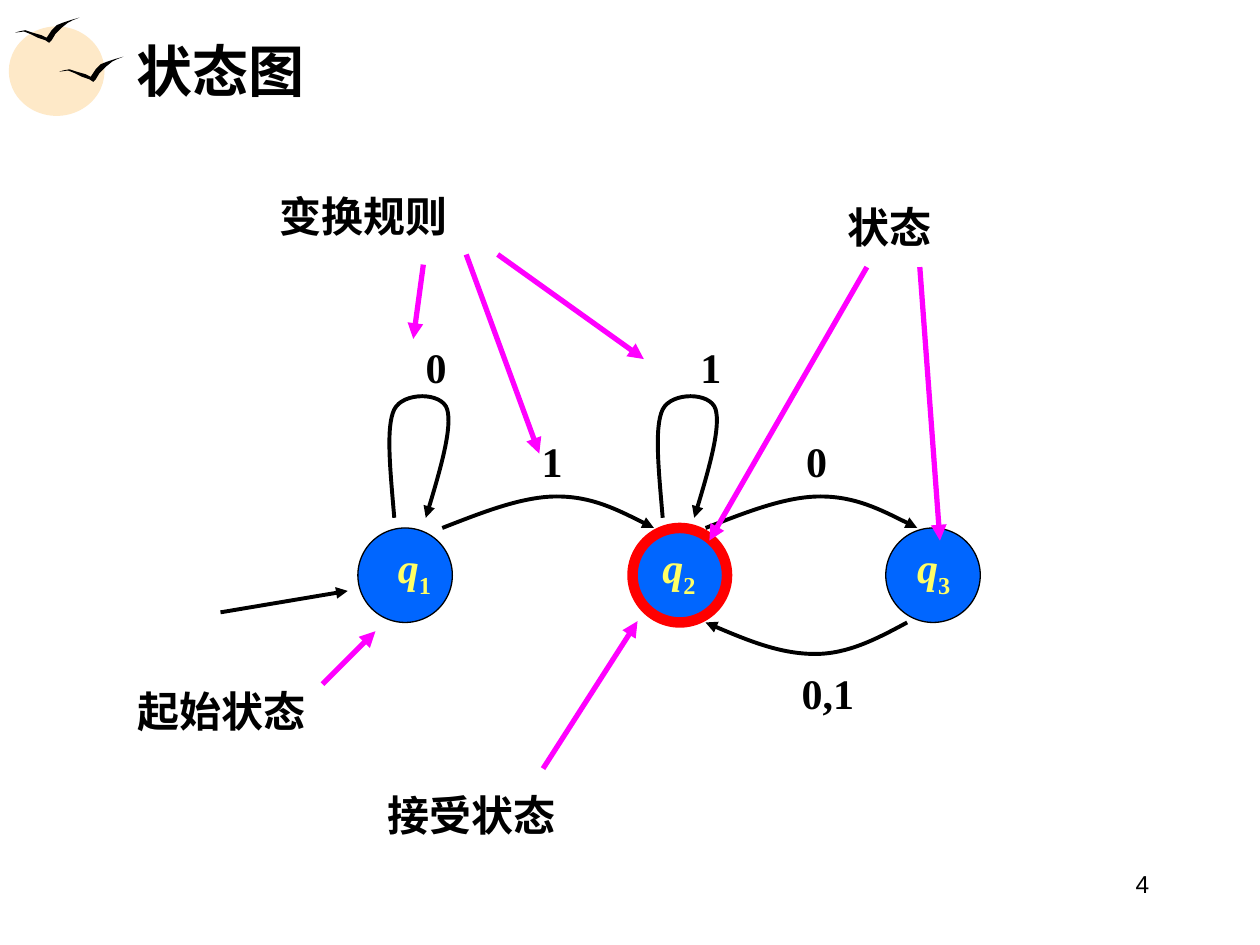
from lxml.etree import SubElement
from pptx import Presentation
from pptx.dml.color import RGBColor
from pptx.enum.shapes import MSO_CONNECTOR, MSO_SHAPE
from pptx.enum.text import MSO_ANCHOR, MSO_AUTO_SIZE, PP_ALIGN
from pptx.oxml.ns import qn
from pptx.util import Inches, Pt

BLACK, MAGENTA, SAND = "000000", "FF00FF", "FEE9C8"
BIRD = [(0, .12), (.03, .11), (.08, .10), (.14, .12), (.21, .14), (.25, .16),
        (.29, .10), (.33, .06), (.38, .04), (.44, .02), (.51, 0), (.46, .02),
        (.42, .04), (.37, .08), (.32, .13), (.29, .18), (.27, .20), (.24, .18),
        (.18, .16), (.12, .13), (.07, .11)]
ARC = [(0, .25), (.31, .13), (.63, 0), (.91, 0), (1.19, 0), (1.44, .13), (1.68, .25)]
LOOP = [(.07, 1), (.04, .64), (0, .28), (.07, .14), (.14, 0), (.45, 0), (.49, .14),
        (.53, .28), (.43, .64), (.32, 1)]
RETURN_ARC = [(1.6, 0), (1.36, .13), (1.13, .25), (.87, .25), (.6, .25), (.3, .13), (0, 0)]


def rgb(color):
    """Turn a hex string into a colour."""
    return RGBColor.from_string(color)


def style_line(line, color, width, arrow=False):
    """Set colour and width of a line, with an arrowhead at its end if asked."""
    line.color.rgb = rgb(color)
    line.width = Pt(width)
    if arrow:
        SubElement(line._get_or_add_ln(), qn("a:tailEnd"), type="triangle")


def style_font(font, size, color=BLACK, name="Times New Roman", bold=True):
    """Set the common font properties."""
    font.size, font.name, font.bold = Pt(size), name, bold
    font.color.rgb = rgb(color)


def add_text(s, text, x, y, w, h=0.5, align=PP_ALIGN.LEFT, fit=True):
    """Add a text box, unwrapped if it fits its text, and return its paragraph."""
    tf = s.shapes.add_textbox(Inches(x), Inches(y), Inches(w), Inches(h)).text_frame
    tf.word_wrap = not fit
    tf.auto_size = MSO_AUTO_SIZE.SHAPE_TO_FIT_TEXT if fit else MSO_AUTO_SIZE.NONE
    p = tf.paragraphs[0]
    p.text, p.alignment = text, align
    style_font(p.font, 24)
    return p


def add_ellipse(s, x, y, w, h, fill):
    """Add a filled ellipse without an outline."""
    sp = s.shapes.add_shape(MSO_SHAPE.OVAL, Inches(x), Inches(y), Inches(w), Inches(h))
    sp.shadow.inherit = False
    sp.fill.solid()
    sp.fill.fore_color.rgb = rgb(fill)
    sp.line.fill.background()
    return sp


def add_outline(s, points, x, y, close):
    """Add a freeform through points given relative to x, y."""
    placed = [(Inches(x + dx), Inches(y + dy)) for dx, dy in points]
    builder = s.shapes.build_freeform(*placed[0])
    builder.add_line_segments(placed[1:], close=close)
    sp = builder.convert_to_shape()
    sp.shadow.inherit = False
    return sp


def add_curve(s, points, x, y):
    """Add a Bezier arrow whose points are anchors and control points."""
    sp = add_outline(s, points, x, y, False)
    segments = list(sp._element.iter(qn("a:lnTo")))
    for i in range(0, len(segments), 3):
        trio = segments[i:i + 3]
        bezier = trio[0].makeelement(qn("a:cubicBezTo"))
        trio[0].addprevious(bezier)
        for segment in trio:
            bezier.append(segment[0])
            segment.getparent().remove(segment)
    sp.fill.background()
    style_line(sp.line, BLACK, 2.25, arrow=True)


def add_arrow(s, start, end, color=MAGENTA, width=3):
    """Add a straight arrow between two points."""
    ends = [Inches(v) for v in (*start, *end)]
    c = s.shapes.add_connector(MSO_CONNECTOR.STRAIGHT, *ends)
    style_line(c.line, color, width, arrow=True)
    SubElement(c._element.spPr, qn("a:effectLst"))


def add_emblem(s, x, y):
    """Draw the sun with two birds."""
    add_ellipse(s, x, y + .07, .76, .71, SAND)
    for dx, dy in [(.4, .31), (.05, 0)]:
        sp = add_outline(s, BIRD, x + dx, y + dy, True)
        sp.fill.solid()
        sp.fill.fore_color.rgb = rgb(BLACK)
        sp.line.fill.background()


def add_title(s, text, x, y, w, h):
    """Place and format the title."""
    title = s.shapes.title
    title.left, title.top, title.width, title.height = map(Inches, (x, y, w, h))
    tf = title.text_frame
    tf.auto_size, tf.vertical_anchor = MSO_AUTO_SIZE.NONE, MSO_ANCHOR.MIDDLE
    p = tf.paragraphs[0]
    p.text, p.alignment = text, PP_ALIGN.LEFT
    style_font(p.font, 32)


def add_state(s, index, x, y, label_x, accepting=False):
    """Draw a state circle with its subscripted name."""
    sp = add_ellipse(s, x, y, .75, .75, "0066FF")
    style_line(sp.line, *(("FF0000", 6) if accepting else (BLACK, .75)))
    p = add_text(s, "q", label_x, y + .06, .46, .56, PP_ALIGN.CENTER)
    style_font(p.font, 24, "FFFF66")
    p.runs[0].font.italic = True
    r = p.add_run()
    r.text = str(index)
    r._r.get_or_add_rPr().set("baseline", "-25000")


def add_transition(s, points, x, y, label, label_x, label_y, label_w=.36):
    """Draw a curved transition and its label."""
    add_curve(s, points, x, y)
    add_text(s, label, label_x, label_y, label_w, align=PP_ALIGN.CENTER)


def add_diagram(s, x, y):
    """Draw the state machine from its top left corner."""
    top = y + 1.53
    add_state(s, 1, x + 1.09, top, x + 1.31)
    add_state(s, 2, x + 3.27, top, x + 3.41, accepting=True)
    add_state(s, 3, x + 5.28, top, x + 5.43)
    add_transition(s, ARC, x + 1.76, y + 1.28, "1", x + 2.45, y + .75)
    add_transition(s, ARC, x + 3.85, y + 1.28, "0", x + 4.55, y + .75)
    add_transition(s, RETURN_ARC, x + 3.85, y + 2.28, "0,1", x + 4.5, y + 2.59, .64)
    add_transition(s, LOOP, x + 1.31, y + .45, "0", x + 1.53, y)
    add_transition(s, LOOP, x + 3.44, y + .45, "1", x + 3.71, y)
    add_arrow(s, (x, y + 2.2), (x + 1.01, y + 2.03), BLACK, 2.25)


def add_callout(s, text, x, y, w, arrows):
    """Add a caption and the arrows, relative to its corner, that lead from it."""
    add_text(s, text, x, y, w)
    for x1, y1, x2, y2 in arrows:
        add_arrow(s, (x + x1, y + y1), (x + x2, y + y2))


def add_page_number(s, number, x, y, w, h):
    """Add the page number."""
    p = add_text(s, number, x, y, w, h, PP_ALIGN.RIGHT, fit=False)
    style_font(p.font, 14, name="Arial", bold=False)


def main():
    """Build and save the slide."""
    prs = Presentation()
    prs.slide_width, prs.slide_height = Inches(10), Inches(7.5)
    s = prs.slides.add_slide(prs.slide_layouts[5])
    add_emblem(s, .07, .14)
    add_page_number(s, "4", 6.89, 6.85, 2.33, .52)
    add_title(s, "状态图", .98, .21, 8.53, .69)
    add_diagram(s, 1.75, 2.66)
    add_callout(s, "状态", 6.63, 1.55, .9,
                [(.67, .57, .83, 2.74), (.25, .57, -1, 2.74)])
    add_callout(s, "变换规则", 2.12, 1.46, 1.68,
                [(1.24, .64, 1.16, 1.23), (1.58, .56, 2.16, 2.14), (1.83, .56, 2.99, 1.39)])
    add_callout(s, "起始状态", .99, 5.39, 1.55, [(1.57, .04, 1.99, -.38)])
    add_callout(s, "接受状态", 2.98, 6.22, 1.55, [(1.33, -.12, 2.08, -1.29)])
    prs.save("out.pptx")


if __name__ == "__main__":
    main()
